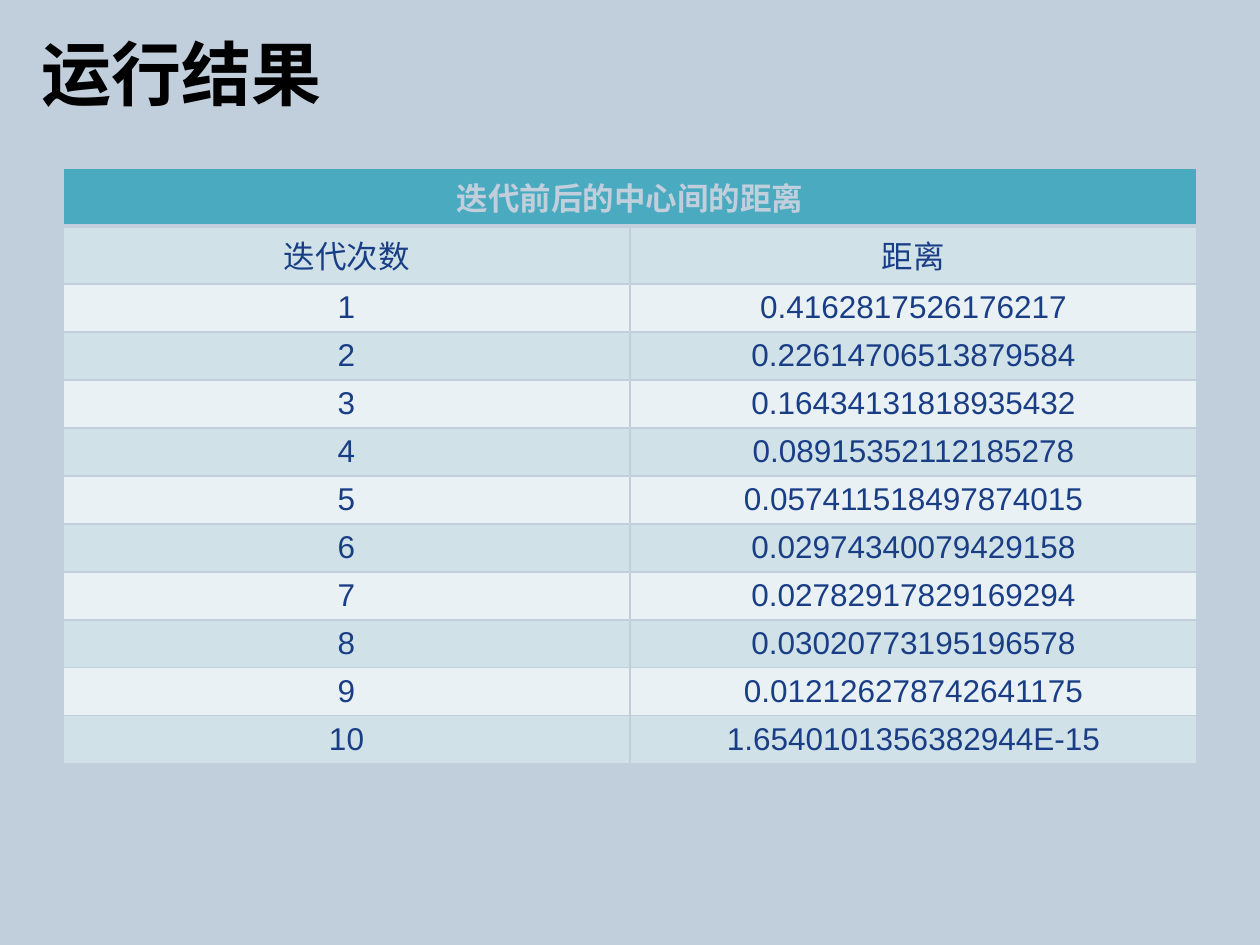
from typing import NamedTuple

from lxml import etree
from pptx import Presentation
from pptx.dml.color import RGBColor
from pptx.enum.text import MSO_ANCHOR, PP_ALIGN
from pptx.oxml.ns import qn
from pptx.util import Emu, Pt

EMU_PER_PX = 914400 // 126
FONT = "Arial"
BACKGROUND, HEADER_FILL, BODY_INK = "C1CFDD", "4AAAC0", "1A3E86"
BAND_FILLS = ("D0E2E8", "E9F1F4")
CENTER, LEFT, MIDDLE = PP_ALIGN.CENTER, PP_ALIGN.LEFT, MSO_ANCHOR.MIDDLE
TALL_ROW, SHORT_ROW = 58, 48


class Iteration(NamedTuple):
    number: str
    distance: str


class CellStyle(NamedTuple):
    fill: str
    ink: str
    bold: bool
    bottom_border: int


DISTANCES = (
    "0.4162817526176217", "0.22614706513879584", "0.16434131818935432",
    "0.08915352112185278", "0.057411518497874015", "0.02974340079429158",
    "0.02782917829169294", "0.03020773195196578", "0.012126278742641175",
    "1.6540101356382944E-15",
)
ITERATIONS = [Iteration(str(n), d) for n, d in enumerate(DISTANCES, 1)]
HEADER_STYLE = CellStyle(HEADER_FILL, BACKGROUND, True, 3)
BAND_STYLES = [CellStyle(fill, BODY_INK, False, 1) for fill in BAND_FILLS]


def px(length: int) -> Emu:
    return Emu(length * EMU_PER_PX)


def color(value: str) -> RGBColor:
    return RGBColor.from_string(value)


def add_solid_fill(parent, value: str) -> None:
    fill = etree.SubElement(parent, qn("a:solidFill"))
    etree.SubElement(fill, qn("a:srgbClr"), val=value)


def set_borders(cell, top: int, bottom: int) -> None:
    """Draw the cell's four borders, widths in points."""
    properties = cell._tc.get_or_add_tcPr()
    widths = {"lnL": 1, "lnR": 1, "lnT": top, "lnB": bottom}
    for position, (side, width) in enumerate(widths.items()):
        line = etree.Element(qn(f"a:{side}"), w=str(Pt(width)))
        add_solid_fill(line, BACKGROUND)
        properties.insert(position, line)


def style_cell(cell, style: CellStyle, top_border: int) -> None:
    set_borders(cell, top_border, style.bottom_border)
    cell.fill.solid()
    cell.fill.fore_color.rgb = color(style.fill)
    cell.margin_top, cell.margin_bottom = px(6), px(5)
    paragraph = cell.text_frame.paragraphs[0]
    paragraph.alignment = CENTER
    font = paragraph.font
    font.name, font.size, font.bold = FONT, Pt(18), style.bold
    font.color.rgb = color(style.ink)


def add_text_shadow(run) -> None:
    effects = etree.Element(qn("a:effectLst"))
    shadow = etree.SubElement(effects, qn("a:outerShdw"),
                              dist=str(Pt(2)), dir="2700000", algn="tl")
    etree.SubElement(shadow, qn("a:srgbClr"), val="FFFFFF")
    run.font.fill._xPr.find(qn("a:solidFill")).addnext(effects)


def set_title(title, text: str) -> None:
    title.left, title.top, title.width, title.height = map(px, (29, 20, 1154, 106))
    title.text_frame.vertical_anchor = MIDDLE
    paragraph = title.text_frame.paragraphs[0]
    paragraph.alignment = LEFT
    run = paragraph.add_run()
    run.text = text
    run.font.name, run.font.size, run.font.bold = FONT, Pt(40), True
    run.font.color.rgb = color("000000")
    add_text_shadow(run)


def add_distance_table(slide) -> None:
    rows = [("迭代前后的中心间的距离", ""), ("迭代次数", "距离"), *ITERATIONS]
    heights = [TALL_ROW] * 2 + [SHORT_ROW] * len(ITERATIONS)
    table = slide.shapes.add_table(
        len(rows), 2, px(63), px(168), px(1134), px(sum(heights))).table
    for r, (texts, height) in enumerate(zip(rows, heights)):
        table.rows[r].height = px(height)
        style = BAND_STYLES[(r - 1) % 2] if r else HEADER_STYLE
        top_border = HEADER_STYLE.bottom_border if r == 1 else 1
        for c, text in enumerate(texts):
            cell = table.cell(r, c)
            cell.text = text
            style_cell(cell, style, top_border)
    table.cell(0, 0).merge(table.cell(0, 1))


def main() -> None:
    presentation = Presentation()
    presentation.slide_width, presentation.slide_height = px(1260), px(945)
    slide = presentation.slides.add_slide(presentation.slide_layouts[5])
    slide.background.fill.solid()
    slide.background.fill.fore_color.rgb = color(BACKGROUND)
    set_title(slide.shapes.title, "运行结果")
    add_distance_table(slide)
    presentation.save("out.pptx")


if __name__ == "__main__":
    main()
